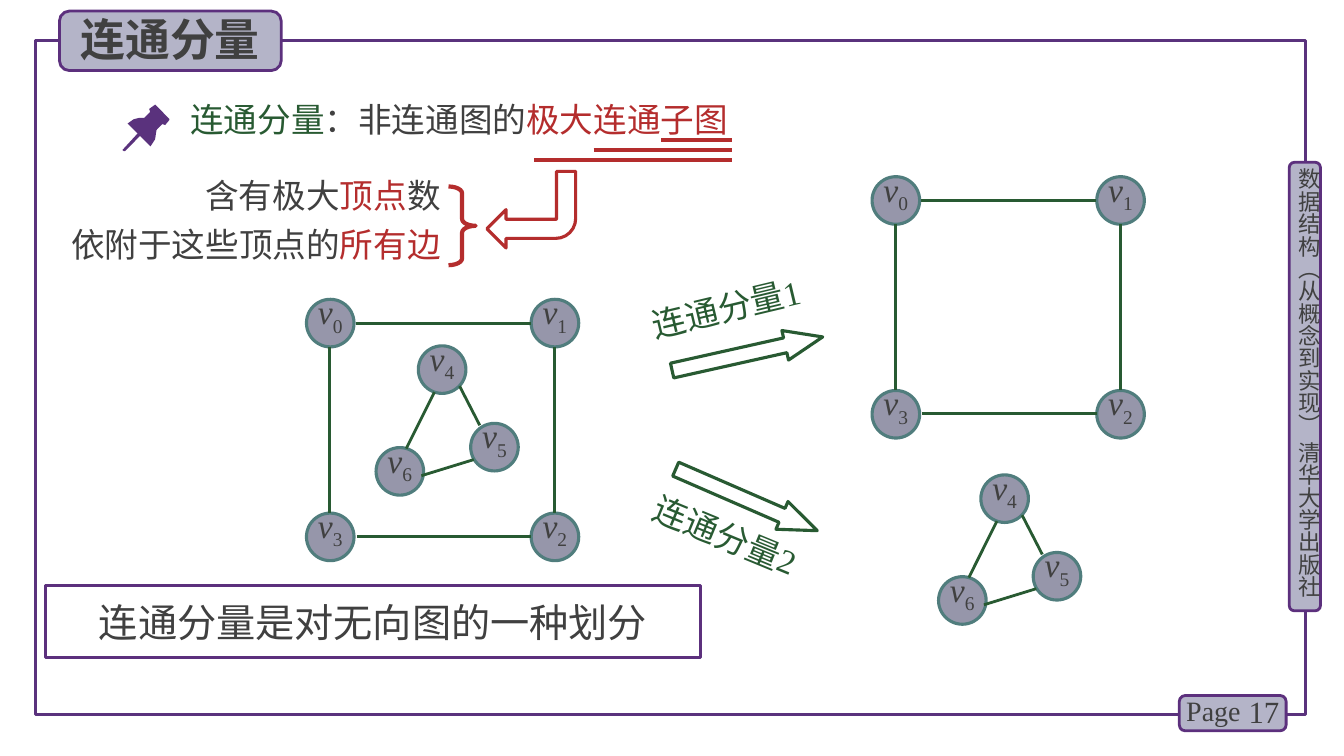
"""Build the slide that explains connected components of an undirected graph."""
from lxml.etree import SubElement
from pptx import Presentation
from pptx.dml.color import RGBColor
from pptx.enum.shapes import MSO_CONNECTOR, MSO_SHAPE
from pptx.enum.text import MSO_ANCHOR, PP_ALIGN
from pptx.oxml.ns import qn
from pptx.util import Pt

PURPLE = RGBColor(0x5A, 0x32, 0x7D)
BADGE_FILL = RGBColor(0xB4, 0xB4, 0xC8)
BADGE_LINE = RGBColor(0x5C, 0x30, 0x7D)
GRAY = RGBColor(0x40, 0x40, 0x40)
GREEN = RGBColor(0x28, 0x5A, 0x32)
RED = RGBColor(0xB4, 0x2D, 0x2D)
VERTEX_FILL = RGBColor(0x96, 0x96, 0xAA)
VERTEX_LINE = RGBColor(0x50, 0x7D, 0x7D)
SANS = "Noto Sans CJK SC"
SERIF = "Times New Roman"

BADGES = [(920.9, 115.9, 22.3, 320.4), (842.4, 496.8, 76.3, 25.2), (42.5, 7.9, 158.4, 42.5)]
COURSE = [[("数据结构（从概念到实现） 清华大学出版社", GRAY)]]
TITLE = [[("连通分量", GRAY)]]
DEFINITION = [[("连通分量", GREEN), ("：非连通图的", GRAY), ("极大连通子图", RED)]]
MEANING = [
    [("含有极大", GRAY), ("顶点", RED), ("数", GRAY)],
    [("依附于这些顶点的", GRAY), ("所有边", RED)],
]
CONCLUSION = [[("连通分量是对无向图的一种划分", GRAY)]]
COMPONENT_LABELS = [
    ("连通分量1", (457.2, 198.7, 149.8, 36), -13.4),
    ("连通分量2", (455.8, 370.8, 156.2, 36), 22.4),
]
COMPONENT_ARROWS = [((478.8, 241.9, 110.2, 21.6), -12.6), ((478.1, 346.3, 110.2, 21.6), 23.5)]

UNDERLINE_RIGHT = 522.7
UNDERLINES = [(472.3, 100.1), (424.1, 107.3), (381.6, 114.5)]

PIN_HEAD = [
    (121, 85), (110.9, 74.7), (106.6, 77.8), (107.3, 79.9), (103, 84.2), (99.4, 84.2),
    (95.5, 85.2), (91.2, 88.2), (107.5, 104.6), (110.8, 99.5), (111.8, 92.9),
    (115.9, 88.6), (118, 89.3), (121, 85.7),
]
PIN_NEEDLE = [(88.6, 108), (87.4, 107.2), (98.6, 95), (100.1, 95), (100.3, 96.8), (89.3, 108)]

DIAMETER = 34
SQUARE_VERTICES = {"0": (218.9, 213.8), "1": (379.4, 213.8), "2": (379.4, 366.5), "3": (218.9, 366.5)}
SQUARE_EDGES = [
    (254, 231.1, 379, 231.1),
    (254.9, 383, 379.4, 383),
    (235.6, 247.7, 235.6, 366.5),
    (396.1, 247.7, 396.1, 366.5),
]
TRIANGLE_VERTICES = {"4": (298.8, 247), "5": (336.2, 302.4), "6": (268.6, 319.7)}
TRIANGLE_EDGES = [
    (310.3, 280.1, 290.2, 320.4),
    (338.4, 328.3, 301, 339.8),
    (328.3, 275.8, 342.7, 303.8),
]
GRAPHS = [
    (SQUARE_VERTICES, SQUARE_EDGES, (0, 0)),
    (TRIANGLE_VERTICES, TRIANGLE_EDGES, (0, 0)),
    (SQUARE_VERTICES, SQUARE_EDGES, (404, -87.6)),
    (TRIANGLE_VERTICES, TRIANGLE_EDGES, (401.8, 92.2)),
]


def add_run(paragraph, text, color, size, font=SERIF):
    run = paragraph.add_run()
    run.text = text
    run.font.size = Pt(size)
    run.font.name = font
    run.font.color.rgb = color
    SubElement(run.font._element, qn("a:ea"), typeface=SANS)
    return run


def fill_text(frame, lines, size, font=SERIF, align=PP_ALIGN.LEFT):
    frame.word_wrap = True
    for index, line in enumerate(lines):
        paragraph = frame.add_paragraph() if index else frame.paragraphs[0]
        paragraph.alignment = align
        if index:
            paragraph.space_before = Pt(6)
        for text, color in line:
            add_run(paragraph, text, color, size, font)


def clear_margins(frame):
    frame.margin_left = frame.margin_right = frame.margin_top = frame.margin_bottom = 0


def add_text(slide, box, lines, size, font=SERIF, align=PP_ALIGN.LEFT):
    shape = slide.shapes.add_textbox(*map(Pt, box))
    fill_text(shape.text_frame, lines, size, font, align)
    return shape


def style_shape(shape, fill, line, width):
    shape.shadow.inherit = False
    if fill is None:
        shape.fill.background()
    else:
        shape.fill.solid()
        shape.fill.fore_color.rgb = fill
    if line is None:
        shape.line.fill.background()
    else:
        shape.line.color.rgb = line
        shape.line.width = Pt(width)


def add_shape(slide, kind, box, fill, line, width=2.25, adjustments=()):
    shape = slide.shapes.add_shape(kind, *map(Pt, box))
    style_shape(shape, fill, line, width)
    for index, value in enumerate(adjustments):
        shape.adjustments[index] = value
    return shape


def add_line(slide, ends, color, width):
    line = slide.shapes.add_connector(MSO_CONNECTOR.STRAIGHT, *map(Pt, ends))
    line.line.color.rgb = color
    line.line.width = Pt(width)
    SubElement(line._element.spPr, qn("a:effectLst"))


def add_pin_part(slide, outline):
    points = [(Pt(x), Pt(y)) for x, y in outline]
    builder = slide.shapes.build_freeform(*points[0])
    builder.add_line_segments(points[1:], close=True)
    style_shape(builder.convert_to_shape(), PURPLE, None, 0)


def add_vertex(slide, number, left, top):
    vertex = add_shape(slide, MSO_SHAPE.OVAL, (left, top, DIAMETER, DIAMETER), VERTEX_FILL, VERTEX_LINE)
    frame = vertex.text_frame
    clear_margins(frame)
    frame.vertical_anchor = MSO_ANCHOR.TOP
    paragraph = frame.paragraphs[0]
    paragraph.alignment = PP_ALIGN.CENTER
    paragraph.line_spacing = Pt(22)
    add_run(paragraph, "v", GRAY, 24).font.italic = True
    subscript = add_run(paragraph, number, GRAY, 24)
    subscript.font._element.set("baseline", "-25000")


def add_graph(slide, vertices, edges, offset):
    shift_x, shift_y = offset
    for number, (left, top) in vertices.items():
        add_vertex(slide, number, left + shift_x, top + shift_y)
    for x1, y1, x2, y2 in edges:
        add_line(slide, (x1 + shift_x, y1 + shift_y, x2 + shift_x, y2 + shift_y), GREEN, 2)


def add_page_frame(slide):
    add_shape(slide, MSO_SHAPE.RECTANGLE, (25.2, 28.8, 907.2, 481.7), None, PURPLE)
    for box in BADGES:
        add_shape(slide, MSO_SHAPE.ROUNDED_RECTANGLE, box, BADGE_FILL, BADGE_LINE, 2)
    course = add_text(slide, (925.2, 120.2, 19.4, 323.3), COURSE, 16, SANS)
    clear_margins(course.text_frame)
    course.text_frame._txBody.bodyPr.set("vert", "eaVert")
    number = add_text(slide, (878.4, 493.9, 42.5, 28.8), [[("17", GRAY)]], 22, align=PP_ALIGN.RIGHT)
    number.text_frame.vertical_anchor = MSO_ANCHOR.MIDDLE
    add_text(slide, (840.2, 491.8, 56.2, 31.7), [[("Page", GRAY)]], 20)
    title = add_text(slide, (50.4, 5, 146.9, 46.1), TITLE, 32, SANS)
    title.text_frame.paragraphs[0].runs[0].font.bold = True


def add_definition(slide):
    add_text(slide, (128.9, 67, 409, 36), DEFINITION, 24)
    for outline in (PIN_HEAD, PIN_NEEDLE):
        add_pin_part(slide, outline)
    for left, top in UNDERLINES:
        add_line(slide, (left, top, UNDERLINE_RIGHT, top), RED, 3)
    add_shape(slide, MSO_SHAPE.RIGHT_BRACE, (320.4, 133.2, 19.4, 56.2), None, RED, 3, (0.25, 0.5))
    meaning = add_text(slide, (49.7, 121.7, 265, 79.9), MEANING, 24, align=PP_ALIGN.RIGHT)
    meaning.text_frame.margin_left = meaning.text_frame.margin_right = 0
    arrow = add_shape(slide, MSO_SHAPE.BENT_ARROW, (347.8, 122.4, 63.4, 54.7), None, RED,
                      adjustments=(0.25, 0.25, 0.25, 0.26))
    arrow.rotation = 180


def main():
    presentation = Presentation()
    presentation.slide_width, presentation.slide_height = Pt(960), Pt(540)
    slide = presentation.slides.add_slide(presentation.slide_layouts[6])
    add_page_frame(slide)
    add_definition(slide)
    for vertices, edges, offset in GRAPHS:
        add_graph(slide, vertices, edges, offset)
    for text, box, angle in COMPONENT_LABELS:
        add_text(slide, box, [[(text, GREEN)]], 24).rotation = angle
    for box, angle in COMPONENT_ARROWS:
        arrow = add_shape(slide, MSO_SHAPE.RIGHT_ARROW, box, None, GREEN, adjustments=(0.5, 1.27))
        arrow.rotation = angle
    conclusion = add_shape(slide, MSO_SHAPE.RECTANGLE, (32.4, 418.3, 468, 51.1), None, BADGE_LINE)
    fill_text(conclusion.text_frame, CONCLUSION, 28, SANS, PP_ALIGN.CENTER)
    presentation.save("out.pptx")


if __name__ == "__main__":
    main()
